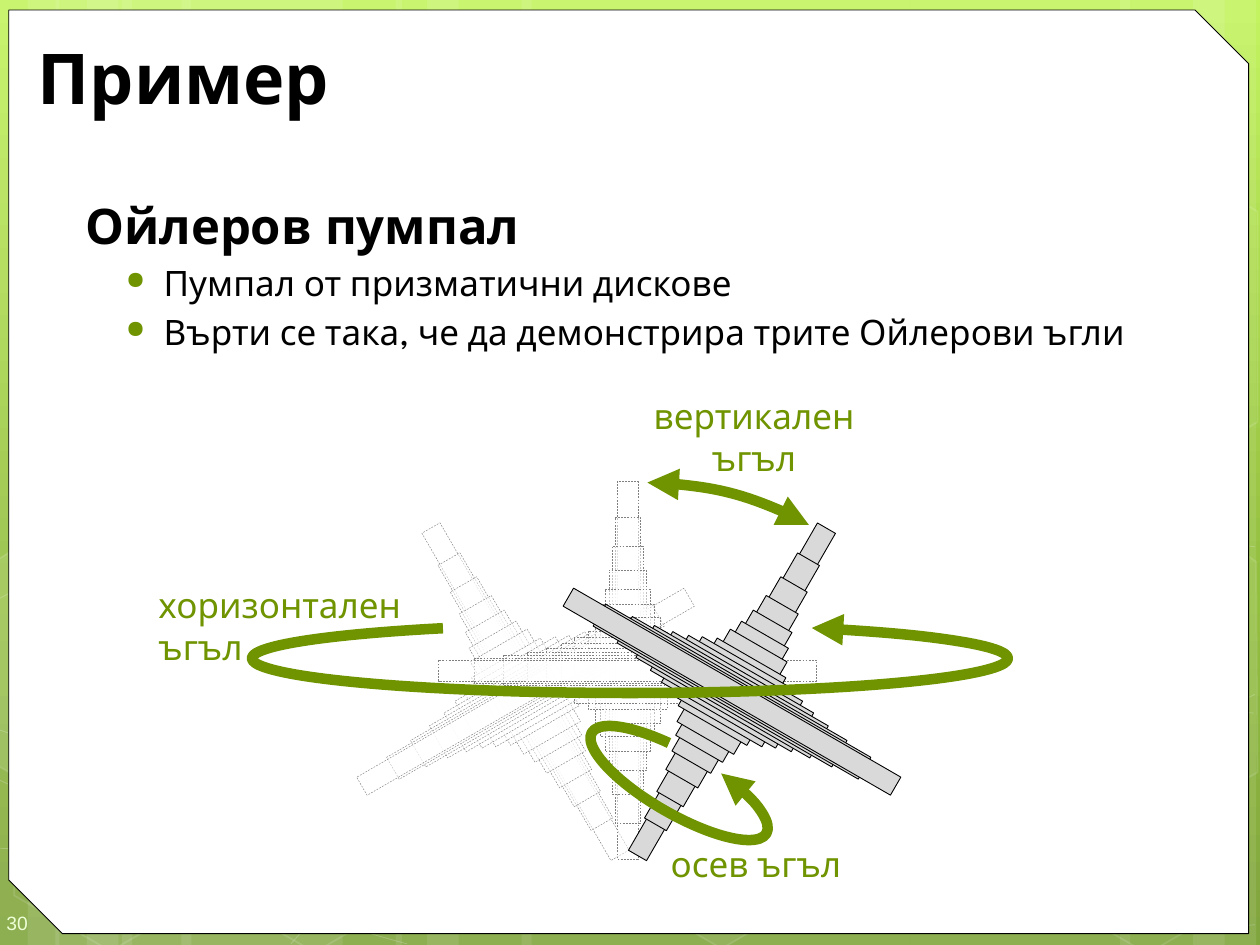
from dataclasses import dataclass
from lxml.etree import SubElement
from pptx import Presentation
from pptx.dml.color import RGBColor
from pptx.enum.dml import MSO_LINE
from pptx.enum.shapes import MSO_SHAPE as Shape
from pptx.enum.text import MSO_ANCHOR as Anchor, MSO_AUTO_SIZE as AutoSize, PP_ALIGN as Align
from pptx.oxml.ns import qn
from pptx.util import Inches, Pt


@dataclass(frozen=True)
class Theme:
    font: str = "League Spartan"
    number_font: str = "Arial"
    background: tuple = ((0, "C3F35F"), (62, "93BF3F"), (100, "81A53E"))
    white: str = "FFFFFF"
    black: str = "000000"
    accent: str = "6F9400"
    disc: str = "D9D9D9"
    ghost_line: str = "808080"
    number: str = "EEFFD6"
    title_size: int = 40
    heading_size: int = 28
    text_size: int = 20
    number_size: int = 11


THEME = Theme()
GHOST = dict(fill=THEME.white, fill_alpha=50, line=THEME.ghost_line, width=0.25, dash=MSO_LINE.DASH)
SOLID = dict(fill=THEME.disc, line=THEME.black, width=0.5)

# left, width of the full-height bands
BANDS = [(0.97, 1.75), (-0.03, 0.5), (0.22, 0.83), (1.44, 1.75), (0.44, 0.5), (0.69, 0.83),
         (7.22, 1.75), (9.47, 0.5), (8.89, 0.83), (4.14, 3.08), (3.14, 0.5), (3.39, 0.83)]
# start point, then cubic segments of three points each
CURVES = [
    [(-0.04, 6.73), (0.5, 6.76), (1.04, 6.79), (1.79, 6.78), (2.54, 6.77), (3.46, 6.75), (4.47, 6.65),
     (5.47, 6.55), (6.89, 6.36), (7.8, 6.17), (8.72, 5.98), (9.66, 5.68), (9.96, 5.51)],
    [(-0.04, 4.77), (0.25, 4.61), (0.54, 4.46), (1.1, 4.31), (1.67, 4.16), (2.47, 3.94), (3.36, 3.87),
     (4.25, 3.8), (5.33, 3.79), (6.43, 3.87), (7.53, 3.95), (9.36, 4.26), (9.96, 4.34)],
    [(-0.05, 6.17), (1.15, 6.72), (2.36, 7.27), (3.23, 7.49)],
    [(-0.04, 5.78), (0.27, 5.89), (0.59, 6), (1.17, 6.16), (1.75, 6.31), (2.62, 6.56), (3.45, 6.73),
     (4.29, 6.9), (5.34, 7.08), (6.17, 7.18), (6.99, 7.29), (7.89, 7.33), (8.41, 7.36),
     (8.94, 7.4), (9.08, 7.38), (9.34, 7.38), (9.59, 7.37), (9.78, 7.35), (9.96, 7.34)],
    [(2.31, 7.49), (2.49, 7.29), (2.67, 7.09), (2.91, 6.91), (3.15, 6.73), (3.49, 6.53), (3.76, 6.39),
     (4.04, 6.25), (4.22, 6.19), (4.58, 6.09), (4.95, 5.99), (5.62, 5.85), (5.97, 5.78),
     (6.32, 5.71), (6.38, 5.71), (6.69, 5.69), (7, 5.66), (7.49, 5.63), (7.83, 5.62),
     (8.17, 5.61), (8.75, 5.62), (9.41, 5.62), (9.6, 5.63), (9.77, 5.64), (9.95, 5.66)],
]
# left, top, fill opacity, line opacity
HEXAGONS = [(3.25, 3.13, 10, 12), (4.04, 4.51, 0, 12), (4.05, 1.74, 7, 8), (3.23, 0.36, 4, 8),
            (4.85, 5.89, 6, 12), (0, 5.91, 0, 12), (0.03, 3.12, 7, 8), (0.82, 4.51, 0, 12),
            (1.62, 5.92, 0, 12), (1.65, 3.13, 7, 8), (0.84, 1.71, 0, 12), (7.42, 4.53, 10, 12),
            (8.23, 5.93, 0, 12), (8.23, 3.14, 7, 8)]
# fill opacity, corners of the hexagons cut by the slide edge
CUT_HEXAGONS = [
    (10, [(-0.03, 4.45), (0.08, 4.38), (0.85, 4.82), (0.84, 5.7), (0.09, 6.14), (-0.03, 6.07)]),
    (4, [(9.15, 4.85), (9.9, 4.41), (9.97, 4.46), (9.98, 6.13), (9.91, 6.17), (9.14, 5.73)]),
    (0, [(9.15, 2.07), (9.9, 1.63), (9.98, 1.68), (9.98, 3.35), (9.91, 3.39), (9.14, 2.95)]),
]
# length, thickness: each disc is shorter and thicker than the one before
DISCS = [(3 * 0.81 ** step, 0.63 / 1.21 ** (7 - step)) for step in range(7)] + [(0.62, 0.63)]


def color(text):
    return RGBColor.from_string(text)


def set_alpha(parent, percent):
    if percent < 100:
        SubElement(parent.find(qn("a:solidFill"))[0], qn("a:alpha"), val=str(percent * 1000))


def style(shape, fill=None, fill_alpha=100, line=None, line_alpha=100, width=1, dash=None):
    shape.shadow.inherit = False
    properties = shape._element.spPr
    if fill and fill_alpha:
        shape.fill.solid()
        shape.fill.fore_color.rgb = color(fill)
        set_alpha(properties, fill_alpha)
    else:
        shape.fill.background()
    if line:
        shape.line.color.rgb = color(line)
        shape.line.width = Pt(width)
        set_alpha(properties.find(qn("a:ln")), line_alpha)
        if dash:
            shape.line.dash_style = dash
    else:
        shape.line.fill.background()


def add_preset(shapes, kind, box, rotation=0, adjustments=(), **look):
    shape = shapes.add_shape(kind, *map(Inches, box))
    shape.rotation = rotation
    for index, value in enumerate(adjustments):
        shape.adjustments[index] = value
    style(shape, **look)
    return shape


def add_outline(shapes, points, close, **look):
    builder = shapes.build_freeform(*map(Inches, points[0]), scale=1.0)
    builder.add_line_segments([tuple(map(Inches, point)) for point in points[1:]], close=close)
    shape = builder.convert_to_shape()
    style(shape, **look)
    return shape


def add_curve(shapes, points, **look):
    """Draw an open outline and turn each three line segments into one cubic Bezier."""
    shape = add_outline(shapes, points, False, **look)
    outline = shape._element.spPr.find(".//" + qn("a:path"))
    segments = outline.findall(qn("a:lnTo"))
    for first in range(0, len(segments), 3):
        bezier = SubElement(outline, qn("a:cubicBezTo"))
        for segment in segments[first:first + 3]:
            bezier.append(segment[0])
            outline.remove(segment)


def format_para(para, text, **values):
    span = para.add_run()
    span.text = text
    settings = {"name": THEME.font, "size": Pt(THEME.text_size), "bold": False} | values
    span.font.color.rgb = color(settings.pop("color", THEME.black))
    for name, value in settings.items():
        setattr(span.font, name, value)


def add_text_box(page, box, wrap=True):
    frame = page.shapes.add_textbox(*map(Inches, box)).text_frame
    frame.word_wrap = wrap
    return frame


def paint_background(page):
    fill = page.background.fill
    fill.gradient()
    fill.gradient_angle = 270
    stops = page.background._cSld.find(".//" + qn("a:gsLst"))
    for stop in list(stops):
        stops.remove(stop)
    for position, value in THEME.background:
        stop = SubElement(stops, qn("a:gs"), pos=str(position * 1000))
        SubElement(stop, qn("a:srgbClr"), val=value)


def add_backdrop(page, height):
    shapes = page.shapes.add_group_shape().shapes
    for left, width in BANDS:
        add_preset(shapes, Shape.RECTANGLE, (left, 0, width, height), fill=THEME.white, fill_alpha=10)
    for points in CURVES:
        add_curve(shapes, points, line=THEME.white, line_alpha=20, width=0.5)
    for left, top, fill_alpha, line_alpha in HEXAGONS:
        add_preset(shapes, Shape.HEXAGON, (left, top, 1.75, 1.52), 30, [0.285], fill=THEME.white,
                   fill_alpha=fill_alpha, line=THEME.white, line_alpha=line_alpha)
    for fill_alpha, points in CUT_HEXAGONS:
        add_outline(shapes, points, True, fill=THEME.white, fill_alpha=fill_alpha,
                    line=THEME.white, line_alpha=12)


def add_page_number(page, box, text):
    frame = add_text_box(page, box)
    margins = {"margin_left": 0.05, "margin_top": 0.15, "margin_right": 0, "margin_bottom": 0.1}
    for name, value in margins.items():
        setattr(frame, name, Inches(value))
    frame.vertical_anchor = Anchor.MIDDLE
    format_para(frame.paragraphs[0], text, name=THEME.number_font,
                size=Pt(THEME.number_size), color=THEME.number)


def place_title(page, box, text):
    title = page.shapes.title
    page.shapes._spTree.append(title._element)  # in front of the panel
    title.left, title.top, title.width, title.height = map(Inches, box)
    title.text_frame.auto_size = AutoSize.NONE
    title.text_frame.vertical_anchor = Anchor.MIDDLE
    para = title.text_frame.paragraphs[0]
    para.alignment = Align.LEFT
    format_para(para, text, size=Pt(THEME.title_size), bold=True)


def add_body(page, box, heading, bullets):
    frame = add_text_box(page, box)
    para = frame.paragraphs[0]
    para._p.get_or_add_pPr().set("marL", str(Inches(0.08)))
    format_para(para, heading, size=Pt(THEME.heading_size), bold=True)
    for text in bullets:
        para = frame.add_paragraph()
        properties = para._p.get_or_add_pPr()
        properties.set("marL", str(Inches(0.7)))
        properties.set("indent", str(Inches(-0.3)))
        SubElement(SubElement(properties, qn("a:buClr")), qn("a:srgbClr"), val=THEME.accent)
        SubElement(properties, qn("a:buSzPct"), val="70000")
        SubElement(properties, qn("a:buChar"), char="●")
        para.space_before = Pt(4)
        format_para(para, text)


def add_spinning_top(page, center, tilt, look):
    """Stack discs along one axis, then back out along the axis at right angles."""
    shapes = page.shapes.add_group_shape().shapes
    layers = [(disc, tilt) for disc in DISCS]
    layers += [(disc, (tilt + 90) % 360) for disc in DISCS[-2::-1]]
    for (length, thickness), rotation in layers:
        box = (center[0] - length / 2, center[1] - thickness / 2, length, thickness)
        add_preset(shapes, Shape.RECTANGLE, box, rotation, **look)


def add_arc_arrow(shapes, box, angles, rotation=0, ends=("headEnd",)):
    arc = add_preset(shapes, Shape.ARC, box, rotation, angles, line=THEME.accent, width=6)
    for end in ends:
        SubElement(arc._element.spPr.find(qn("a:ln")), qn("a:" + end), type="triangle")


def add_axial_turn(page):
    """Fade the tip of the top softly behind its turning arrow."""
    shapes = page.shapes.add_group_shape().shapes
    veil = add_preset(shapes, Shape.RECTANGLE, (4.9, 6.25, 0.59, 0.27), 31.5,
                      fill=THEME.white, fill_alpha=80)
    SubElement(veil._element.spPr.find(qn("a:effectLst")), qn("a:softEdge"), rad=str(Pt(5)))
    add_arc_arrow(shapes, (4.59, 5.97, 1.6, 0.49), (190.33, 135.51), 30)


def add_label(page, box, lines, alignment=Align.CENTER, wrap=False):
    frame = add_text_box(page, box, wrap)
    for index, text in enumerate(lines):
        para = frame.add_paragraph() if index else frame.paragraphs[0]
        para.alignment = alignment
        format_para(para, text, color=THEME.accent)


def main():
    deck = Presentation()
    deck.slide_width, deck.slide_height = Inches(10), Inches(7.5)
    page = deck.slides.add_slide(deck.slide_layouts[5])
    paint_background(page)
    add_backdrop(page, 7.5)
    add_preset(page.shapes, Shape.SNIP_2_DIAG_RECTANGLE, (0.07, 0.08, 9.84, 7.33),
               adjustments=(0, 0.058), fill=THEME.white, line=THEME.black, width=0.5)
    add_page_number(page, (0, 7.1, 0.58, 0.4), "30")
    add_spinning_top(page, (4.17, 5.49), 60, GHOST)
    add_spinning_top(page, (4.98, 5.32), 90, GHOST)
    place_title(page, (0.2, 0.25, 9.47, 0.71), "Пример")
    add_body(page, (0.5, 1.5, 9.42, 5.92), "Ойлеров пумпал",
             ["Пумпал от призматични дискове", "Върти се така, че да демонстрира трите Ойлерови ъгли"])
    add_spinning_top(page, (5.81, 5.49), 300, SOLID)
    add_axial_turn(page)
    add_arc_arrow(page.shapes, (2, 4.95, 6, 0.55), (210.31, 113.49))
    add_arc_arrow(page.shapes, (2.93, 3.83, 4.32, 3.17), (163.05, 190.08), ends=("headEnd", "tailEnd"))
    add_label(page, (1.16, 4.58, 2.16, 0.77), ["хоризонтален", "ъгъл"], Align.LEFT)
    add_label(page, (5.07, 3.08, 1.83, 0.77), ["вертикален", "ъгъл"])
    add_label(page, (4.91, 6.64, 2.18, 0.44), ["осев ъгъл"], wrap=True)
    deck.save("out.pptx")


if __name__ == "__main__":
    main()
